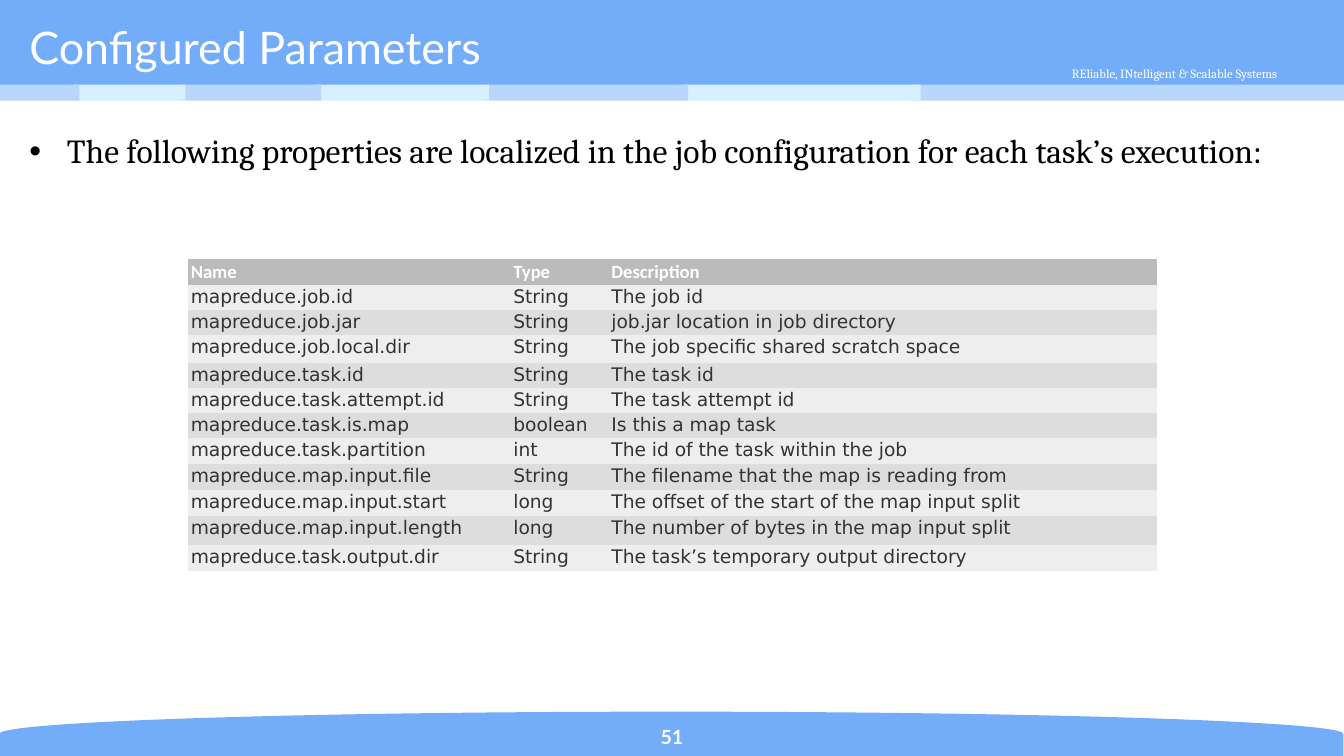
"""Build the Configured Parameters slide with its table of job properties."""
from lxml import etree
from pptx import Presentation
from pptx.dml.color import RGBColor
from pptx.enum.shapes import MSO_SHAPE
from pptx.enum.text import MSO_ANCHOR, PP_ALIGN
from pptx.oxml.ns import qn
from pptx.util import Inches, Pt

RECTANGLE = MSO_SHAPE.RECTANGLE
DELAY = MSO_SHAPE.FLOWCHART_DELAY
TOP = MSO_ANCHOR.TOP
MIDDLE = MSO_ANCHOR.MIDDLE
LEFT = PP_ALIGN.LEFT
CENTER = PP_ALIGN.CENTER

BLUE = RGBColor(0x73, 0xAC, 0xF8)
SOFT_BLUE = RGBColor(0xB9, 0xD6, 0xFB)
PALE_BLUE = RGBColor(0xD6, 0xF0, 0xFF)
WHITE = RGBColor(0xFF, 0xFF, 0xFF)
BLACK = RGBColor(0x00, 0x00, 0x00)
DARK_GRAY = RGBColor(0x33, 0x33, 0x33)
HEADER_GRAY = RGBColor(0xBB, 0xBB, 0xBB)
LIGHT_ROW = RGBColor(0xEE, 0xEE, 0xEE)
DARK_ROW = RGBColor(0xDD, 0xDD, 0xDD)

NO_STYLE = "{2D5ABB26-0587-4C30-8999-92F81FD0307C}"

presentation = Presentation()
presentation.slide_width = Inches(10)
presentation.slide_height = Inches(10) * 9 // 16
slide = presentation.slides.add_slide(presentation.slide_layouts[6])


def add_block(kind, left, top, width, height, color):
    shape = slide.shapes.add_shape(
        kind, Inches(left), Inches(top), Inches(width), Inches(height))
    shape.shadow.inherit = False
    shape.fill.solid()
    shape.fill.fore_color.rgb = color
    shape.line.fill.background()
    return shape


def add_text(text, box, size, font, color, anchor=TOP, align=LEFT, bold=False):
    text_frame = slide.shapes.add_textbox(*map(Inches, box)).text_frame
    text_frame.word_wrap = True
    text_frame.vertical_anchor = anchor
    text_frame.text = text
    paragraph = text_frame.paragraphs[0]
    paragraph.alignment = align
    run_font = paragraph.runs[0].font
    run_font.size = Pt(size)
    run_font.name = font
    run_font.bold = bold
    run_font.color.rgb = color
    return paragraph


footer_wave = add_block(DELAY, 4.83, 0.46, 0.33, 10, BLUE)
footer_wave.rotation = 270
add_block(RECTANGLE, 0, 0, 10, 0.65, BLUE)
add_text("REliable, INtelligent & Scalable Systems", (7.52, 0.44, 2.44, 0.21),
         6.8, "Cambria", WHITE, align=CENTER)

stripes = [(6.77, 3.23), (5.08, 1.77), (3.59, 1.53), (2.34, 1.3),
           (1.33, 1.06), (0.55, 0.83), (0, 0.59)]
for index, (left, width) in enumerate(stripes):
    color = PALE_BLUE if index % 2 else SOFT_BLUE
    add_block(RECTANGLE, left, 0.63, width, 0.12, color)

add_text("Configured Parameters", (0.12, 0.12, 7.46, 0.45),
         24, "Lato", WHITE, anchor=MIDDLE)

bullet_paragraph = add_text(
    "The following properties are localized in the job configuration for each task’s execution:",
    (0.12, 0.92, 9.61, 4.31), 18, "Cambria", BLACK)
properties = bullet_paragraph._p.get_or_add_pPr()
properties.set("marL", str(Inches(0.28)))
properties.set("indent", str(-Inches(0.28)))
space_before = etree.SubElement(properties, qn("a:spcBef"))
etree.SubElement(space_before, qn("a:spcPct")).set("val", "20000")
etree.SubElement(properties, qn("a:buFont")).set("typeface", "Arial")
etree.SubElement(properties, qn("a:buChar")).set("char", "•")

add_text("51", (4.45, 5.35, 1.1, 0.26), 10.5, "Lato", WHITE,
         anchor=MIDDLE, align=CENTER, bold=True)

rows = [
    ("Name", "Type", "Description"),
    ("mapreduce.job.id", "String", "The job id"),
    ("mapreduce.job.jar", "String", "job.jar location in job directory"),
    ("mapreduce.job.local.dir", "String", "The job specific shared scratch space"),
    ("mapreduce.task.id", "String", "The task id"),
    ("mapreduce.task.attempt.id", "String", "The task attempt id"),
    ("mapreduce.task.is.map", "boolean", "Is this a map task"),
    ("mapreduce.task.partition", "int", "The id of the task within the job"),
    ("mapreduce.map.input.file", "String", "The filename that the map is reading from"),
    ("mapreduce.map.input.start", "long", "The offset of the start of the map input split"),
    ("mapreduce.map.input.length", "long", "The number of bytes in the map input split"),
    ("mapreduce.task.output.dir", "String", "The task’s temporary output directory"),
]
column_widths = [2.4, 0.73, 4.08]
row_heights = [0.18, 0.18, 0.18, 0.21, 0.18, 0.18, 0.18, 0.18, 0.2, 0.18, 0.22, 0.19]

table = slide.shapes.add_table(
    len(rows), len(column_widths), Inches(1.4), Inches(1.93),
    Inches(sum(column_widths)), Inches(sum(row_heights))).table
table._tbl.tblPr.find(qn("a:tableStyleId")).text = NO_STYLE
table.horz_banding = False
for column, width in zip(table.columns, column_widths):
    column.width = Inches(width)

for row_index, (values, height) in enumerate(zip(rows, row_heights)):
    table.rows[row_index].height = Inches(height)
    is_header = row_index == 0
    row_color = LIGHT_ROW if row_index % 2 else DARK_ROW
    for column_index, value in enumerate(values):
        cell = table.cell(row_index, column_index)
        cell.margin_left = cell.margin_right = Inches(0.02)
        cell.margin_top = cell.margin_bottom = Inches(0.01)
        cell.fill.solid()
        cell.fill.fore_color.rgb = HEADER_GRAY if is_header else row_color
        cell.text_frame.text = value
        cell_font = cell.text_frame.paragraphs[0].runs[0].font
        cell_font.size = Pt(10)
        cell_font.name = "Calibri" if is_header else "DejaVu Sans"
        cell_font.bold = is_header
        cell_font.color.rgb = WHITE if is_header else DARK_GRAY

presentation.save("out.pptx")
